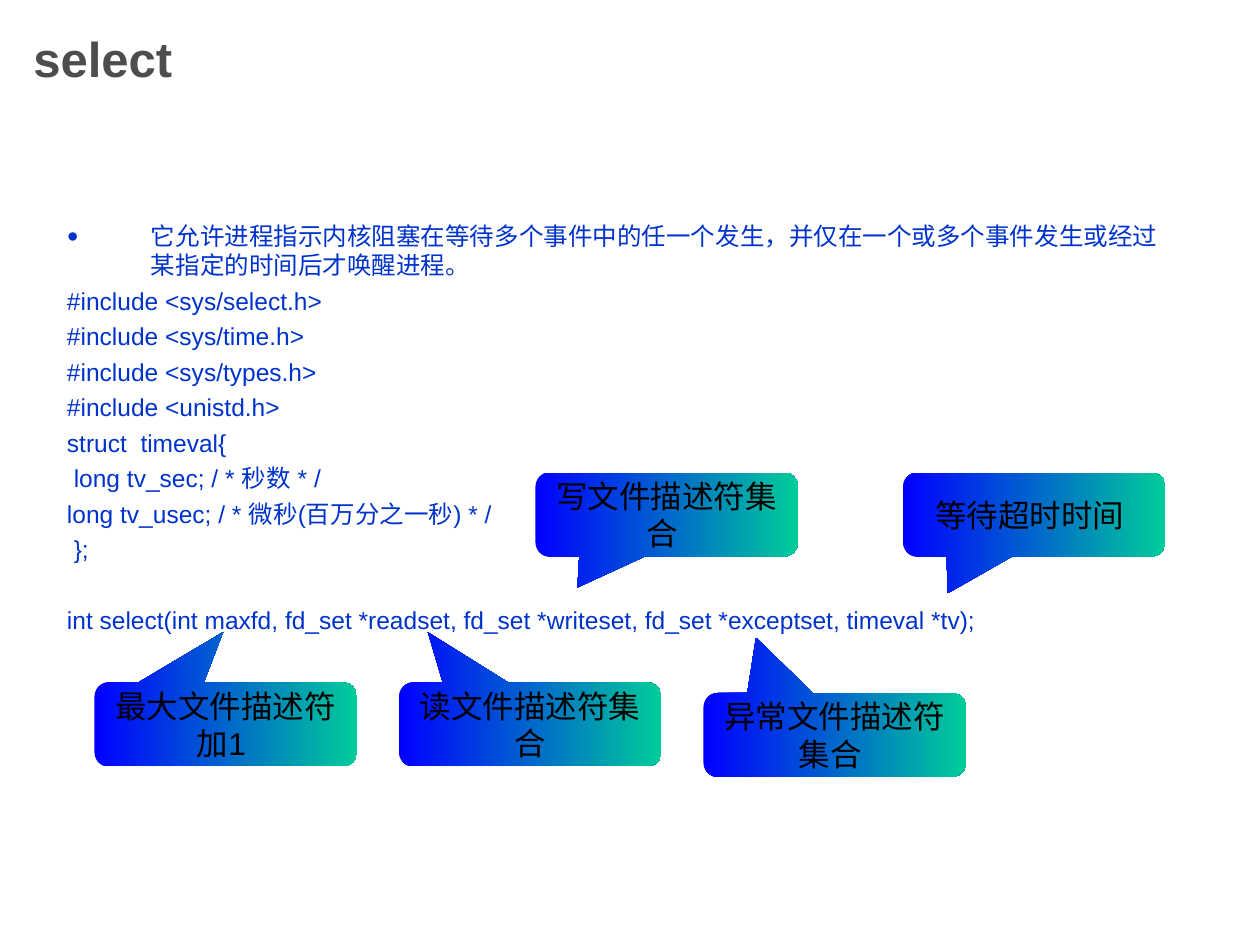
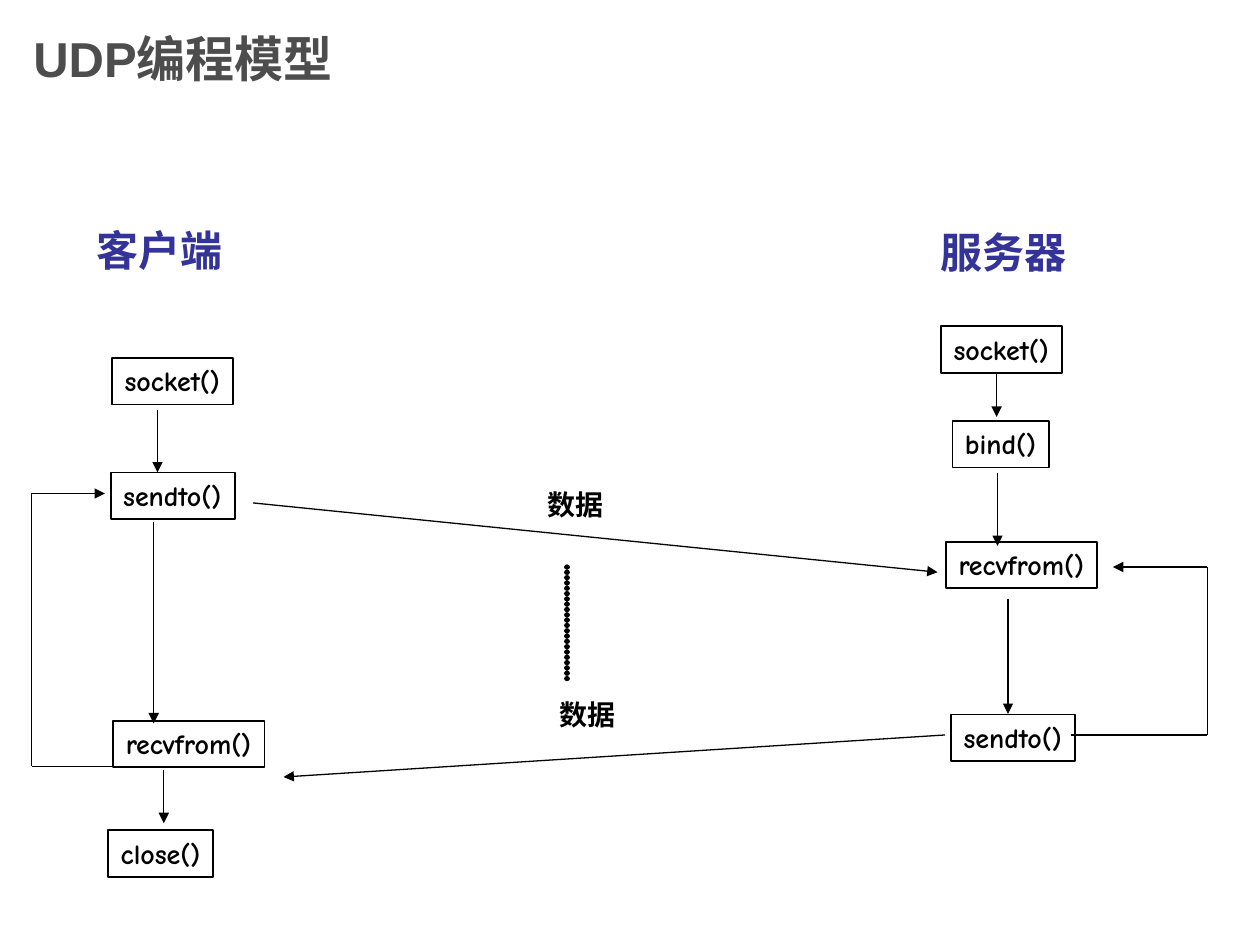
from dataclasses import dataclass
from itertools import pairwise

from lxml import etree
from pptx import Presentation
from pptx import util as u
from pptx.dml.color import RGBColor
from pptx.enum import shapes, text
from pptx.oxml.ns import qn


@dataclass(frozen=True)
class Theme:
    sans: str = "Arial"
    comic: str = "Comic Neue"
    title: str = "4D4D4D"
    body: str = "0033CC"
    heading: str = "333399"
    ink: str = "000000"
    gradient: tuple = ("0000FF", "00CC99")
    title_size: int = 28
    heading_size: int = 24
    callout_size: int = 18
    box_size: int = 16
    body_size: int = 14
    bullet_percent: int = 80
    paragraph_gap: float = 3.5
    box_line: float = 1
    arrow_line: float = 0.75
    dots_line: float = 3


THEME = Theme()
CELL = u.Inches(1) / 12
COLUMNS, ROWS = 120, 90

TITLE_AREA = (2, 0, 90, 11)
BODY_AREA = (5.2, 20.45, 108, 59.5)
HANGING_INDENT = 8
CALLOUT_SIZE = (25, 8)
BOX_HEIGHT = 4.44
BOX_WIDTHS = {"socket()": 11.5, "bind()": 9.2, "sendto()": 11.8,
              "recvfrom()": 14.4, "close()": 10}

SELECT_TITLE = "select"
SELECT_BULLET = "它允许进程指示内核阻塞在等待多个事件中的任一个发生，并仅在一个或多个事件发生或经过某指定的时间后才唤醒进程。"
SELECT_CODE = [
    "#include <sys/select.h>",
    "#include <sys/time.h>",
    "#include <sys/types.h>",
    "#include <unistd.h>",
    "struct  timeval{",
    " long tv_sec; / * 秒数 * /",
    "long tv_usec; / * 微秒(百万分之一秒) * /",
    " };",
]
SELECT_CALL = "int select(int maxfd, fd_set *readset, fd_set *writeset, fd_set *exceptset, timeval *tv);"
CALL_GAP = 23.5
CALLOUTS = [
    ("最大文件描述符加1 ", 9, 65, (-0.01, -1.1)),
    ("读文件描述符集合", 38, 65, (-0.39, -1.1)),
    ("写文件描述符集合 ", 51, 45, (-0.34, 0.87)),
    ("异常文件描述符集合 ", 67, 66, (-0.3, -1.16)),
    ("等待超时时间 ", 86, 45, (-0.33, 0.94)),
]

UDP_TITLE = "UDP编程模型"
HEADINGS = [("客户端", 8.04, 20.76), ("服务器", 88.44, 21)]
DATA_LABELS = [("数据", 51, 45.84), ("数据", 52.08, 65.88)]
CLIENT_CALLS = [("socket()", 10.68, 34.08), ("sendto()", 10.56, 45),
                ("recvfrom()", 10.8, 68.64), ("close()", 10.32, 79.08)]
SERVER_CALLS = [("socket()", 89.64, 31.08), ("bind()", 90.72, 40.08),
                ("recvfrom()", 90.12, 51.6), ("sendto()", 90.6, 68.04)]
ROUTES = [
    [(15, 39), (15, 45)],
    [(14.64, 49.7), (14.64, 68.9)],
    [(15.6, 73.3), (15.6, 78.4)],
    [(11, 73), (3, 73), (3, 47), (10, 47)],
    [(94.92, 35.5), (94.92, 39.7)],
    [(95, 45), (95, 52)],
    [(96, 57), (96, 68)],
    [(102, 70), (115, 70), (115, 54), (106, 54)],
    [(24.1, 47.9), (89.3, 54.5)],
    [(90, 70), (27, 74)],
]
DOTS = [(54, 54), (54, 65)]


def grid(*cells):
    return [u.Emu(round(cell * CELL)) for cell in cells]


def style(paragraph, size, color, font=THEME.sans, bold=False):
    for run in paragraph.runs:
        run.font.size = u.Pt(size)
        run.font.bold = bold
        run.font.color.rgb = RGBColor.from_string(color)
        run.font.name = font
        east_asian = etree.SubElement(run.font._element, qn("a:ea"))
        east_asian.set("typeface", font)


def add_text(slide, area, wording, size, color, font=THEME.sans,
             anchor=text.MSO_ANCHOR.TOP, wrap=False):
    shape = slide.shapes.add_textbox(*grid(*area))
    frame = shape.text_frame
    frame.word_wrap = wrap
    if not wrap:
        frame.auto_size = text.MSO_AUTO_SIZE.SHAPE_TO_FIT_TEXT
    frame.vertical_anchor = anchor
    frame.text = wording
    style(frame.paragraphs[0], size, color, font, bold=True)
    return shape


def add_slide(presentation, title):
    slide = presentation.slides.add_slide(presentation.slide_layouts[6])
    add_text(slide, TITLE_AREA, title, THEME.title_size, THEME.title,
             anchor=text.MSO_ANCHOR.MIDDLE, wrap=True)
    return slide


def hang(paragraph, bullet=None):
    properties = paragraph._p.get_or_add_pPr()
    indent = grid(HANGING_INDENT)[0]
    properties.set("marL", str(indent))
    properties.set("indent", str(-indent))
    if bullet:
        color = etree.SubElement(properties, qn("a:buClr"))
        etree.SubElement(color, qn("a:srgbClr")).set("val", THEME.body)
        size = etree.SubElement(properties, qn("a:buSzPct"))
        size.set("val", str(THEME.bullet_percent * 1000))
        etree.SubElement(properties, qn("a:buFont")).set("typeface", THEME.sans)
        etree.SubElement(properties, qn("a:buChar")).set("char", bullet)
    else:
        etree.SubElement(properties, qn("a:buNone"))


def add_body(slide):
    frame = slide.shapes.add_textbox(*grid(*BODY_AREA)).text_frame
    frame.word_wrap = True
    frame.text = "\n".join([SELECT_BULLET, *SELECT_CODE, SELECT_CALL])
    for index, paragraph in enumerate(frame.paragraphs):
        paragraph.space_before = u.Pt(THEME.paragraph_gap)
        hang(paragraph, "●" if index == 0 else None)
        style(paragraph, THEME.body_size, THEME.body)
    frame.paragraphs[-1].space_before = u.Pt(CALL_GAP)


def add_callout(slide, wording, column, row, tip):
    shape = slide.shapes.add_shape(
        shapes.MSO_SHAPE.ROUNDED_RECTANGULAR_CALLOUT,
        *grid(column, row, *CALLOUT_SIZE))
    shape.shadow.inherit = False
    shape.adjustments[0], shape.adjustments[1] = tip
    shape.fill.gradient()
    shape.fill.gradient_angle = 0
    for position, (stop, color) in enumerate(zip(shape.fill.gradient_stops, THEME.gradient)):
        stop.position = position
        stop.color.rgb = RGBColor.from_string(color)
    shape.line.fill.background()
    frame = shape.text_frame
    frame.word_wrap = True
    frame.vertical_anchor = text.MSO_ANCHOR.MIDDLE
    frame.text = wording
    paragraph = frame.paragraphs[0]
    paragraph.alignment = text.PP_ALIGN.CENTER
    style(paragraph, THEME.callout_size, THEME.ink)


def add_line(slide, start, end, width=THEME.arrow_line):
    connector = slide.shapes.add_connector(
        shapes.MSO_CONNECTOR.STRAIGHT, *grid(*start, *end))
    connector.line.width = u.Pt(width)
    connector.line.color.rgb = RGBColor.from_string(THEME.ink)
    etree.SubElement(connector._element.spPr, qn("a:effectLst"))
    return connector.line._get_or_add_ln()


def add_route(slide, points):
    for start, end in pairwise(points):
        line = add_line(slide, start, end)
    etree.SubElement(line, qn("a:tailEnd")).set("type", "triangle")


def add_dots(slide, points):
    line = add_line(slide, *points, width=THEME.dots_line)
    line.set("cap", "rnd")
    dashes = etree.SubElement(line, qn("a:custDash"))
    dot = etree.SubElement(dashes, qn("a:ds"))
    dot.set("d", "1000")
    dot.set("sp", "100000")
    etree.SubElement(line, qn("a:round"))


def add_call_box(slide, wording, column, row):
    area = (column, row, BOX_WIDTHS[wording], BOX_HEIGHT)
    box = add_text(slide, area, wording, THEME.box_size, THEME.ink, THEME.comic)
    box.line.width = u.Pt(THEME.box_line)
    box.line.color.rgb = RGBColor.from_string(THEME.ink)


def build_select(presentation):
    slide = add_slide(presentation, SELECT_TITLE)
    add_body(slide)
    for callout in CALLOUTS:
        add_callout(slide, *callout)


def build_udp(presentation):
    slide = add_slide(presentation, UDP_TITLE)
    for call in CLIENT_CALLS + SERVER_CALLS:
        add_call_box(slide, *call)
    for route in ROUTES:
        add_route(slide, route)
    add_dots(slide, DOTS)
    for wording, column, row in DATA_LABELS:
        add_text(slide, (column, row, 7.68, BOX_HEIGHT), wording,
                 THEME.box_size, THEME.ink, THEME.comic)
    for wording, column, row in HEADINGS:
        add_text(slide, (column, row, 14.4, 6), wording,
                 THEME.heading_size, THEME.heading, THEME.comic)


def main():
    presentation = Presentation()
    presentation.slide_width, presentation.slide_height = grid(COLUMNS, ROWS)
    build_select(presentation)
    build_udp(presentation)
    presentation.save("out.pptx")


if __name__ == "__main__":
    main()
